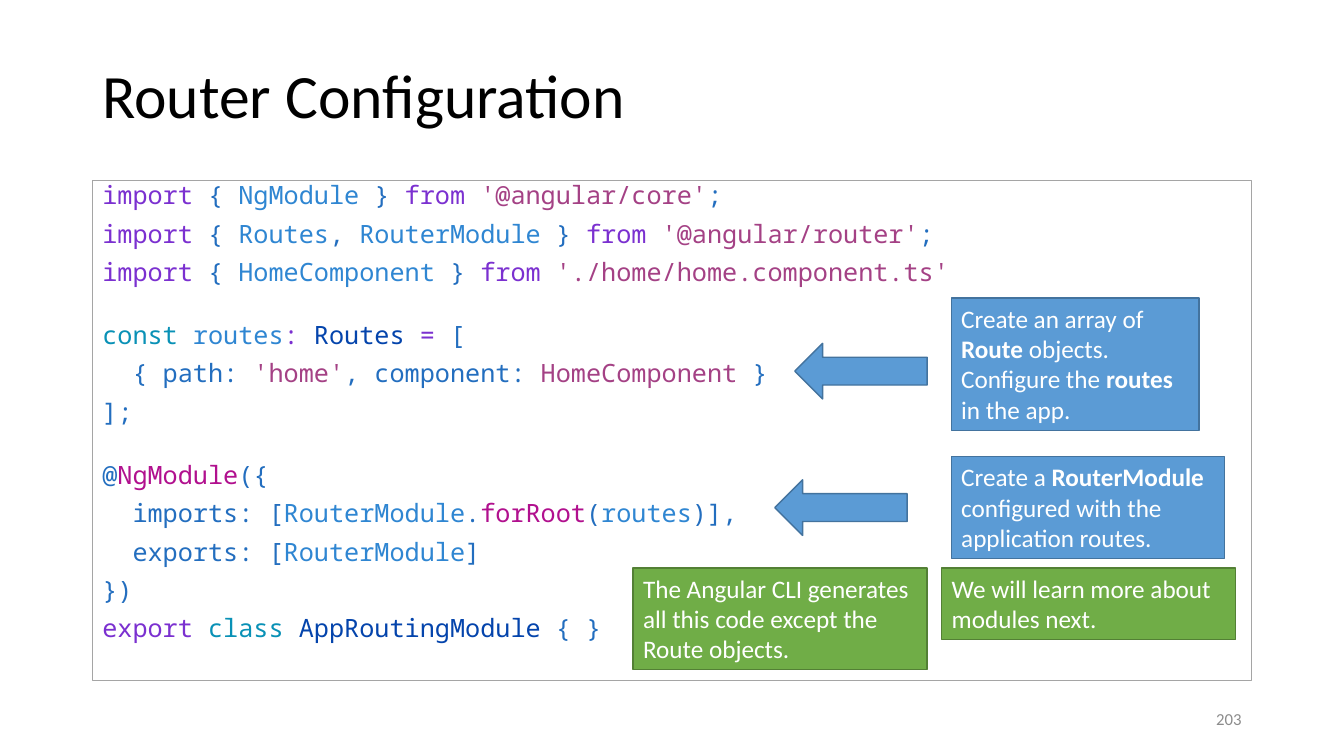
from pptx import Presentation
from pptx.dml.color import RGBColor
from pptx.enum.shapes import MSO_SHAPE
from pptx.enum.text import MSO_ANCHOR, PP_ALIGN
from pptx.util import Emu, Pt

PX = 9525  # EMU per px, 96 px to the inch
TEXT_FONT, CODE_FONT = "Calibri", "Noto Sans Mono"

WHITE = RGBColor(0xFF, 0xFF, 0xFF)
BLACK = RGBColor(0x00, 0x00, 0x00)
GRAY = RGBColor(0x8C, 0x8C, 0x8C)
FRAME = RGBColor(0xA5, 0xA5, 0xA5)
BLUE = RGBColor(0x5B, 0x9B, 0xD5)
BLUE_EDGE = RGBColor(0x43, 0x73, 0x9E)
GREEN = RGBColor(0x70, 0xAD, 0x47)
GREEN_EDGE = RGBColor(0x53, 0x80, 0x35)

# Syntax colours
KEYWORD = RGBColor(0x7B, 0x30, 0xD0)
PLAIN = RGBColor(0x23, 0x6E, 0xBF)
NAME = RGBColor(0x2F, 0x86, 0xD2)
STRING = RGBColor(0xA4, 0x41, 0x85)
STORAGE = RGBColor(0x09, 0x91, 0xB6)
TYPE = RGBColor(0x04, 0x44, 0xAC)
CALL = RGBColor(0xB1, 0x10, 0x8E)

# Blocks of code lines, each line a list of (text, colour)
CODE_BLOCKS = [
    [
        [("import", KEYWORD), (" { ", PLAIN), ("NgModule", NAME), (" } ", PLAIN),
         ("from ", KEYWORD), ("'@angular/core'", STRING), (";", PLAIN)],
        [("import", KEYWORD), (" { ", PLAIN), ("Routes", NAME), (", ", PLAIN),
         ("RouterModule", NAME), (" } ", PLAIN), ("from ", KEYWORD),
         ("'@angular/router'", STRING), (";", PLAIN)],
        [("import", KEYWORD), (" { ", PLAIN), ("HomeComponent ", NAME), ("} ", PLAIN),
         ("from ", KEYWORD), ("'./home/home.component.ts'", STRING)],
    ],
    [
        [("const ", STORAGE), ("routes", NAME), (": ", KEYWORD), ("Routes ", TYPE),
         ("=", KEYWORD), (" [", PLAIN)],
        [("  { path: ", PLAIN), ("'home'", STRING), (", component: ", PLAIN),
         ("HomeComponent ", STRING), ("}", PLAIN)],
        [("];", PLAIN)],
    ],
    [
        [("@", PLAIN), ("NgModule", CALL), ("({", PLAIN)],
        [("  imports: [", PLAIN), ("RouterModule", NAME), (".", PLAIN),
         ("forRoot", CALL), ("(", PLAIN), ("routes", NAME), (")],", PLAIN)],
        [("  exports: [", PLAIN), ("RouterModule", NAME), ("]", PLAIN)],
        [("})", PLAIN)],
        [("export ", KEYWORD), ("class ", STORAGE), ("AppRoutingModule", TYPE),
         (" { }", PLAIN)],
    ],
]

# Notes: box, fill, edge, paragraphs of (text, bold)
NOTES = [
    ((906, 284, 236, 126), BLUE, BLUE_EDGE, [
        [("Create an array of ", False), ("Route", True), (" objects.", False)],
        [("Configure the ", False), ("routes", True), (" in the app.", False)]]),
    ((906, 435, 260, 97), BLUE, BLUE_EDGE, [
        [("Create a ", False), ("RouterModule", True),
         (" configured with the application routes.", False)]]),
    ((603, 541, 280, 97), GREEN, GREEN_EDGE, [
        [("The Angular CLI generates all this code except the Route objects.", False)]]),
    ((897, 541, 280, 68), GREEN, GREEN_EDGE, [
        [("We will learn more about modules next.", False)]]),
]
ARROWS = [(757, 327, 126, 53), (738, 457, 126, 53)]


def to_emu(box):
    return [Emu(length * PX) for length in box]


def add_run(paragraph, text, size, color, font=TEXT_FONT, bold=False):
    run = paragraph.add_run()
    run.text = text
    run.font.name, run.font.size, run.font.bold = font, Pt(size), bold
    run.font.color.rgb = color


def add_paragraph(frame, index):
    return frame.add_paragraph() if index else frame.paragraphs[0]


def add_panel(slide, box, kind, fill, edge, edge_width=1):
    panel = slide.shapes.add_shape(kind, *to_emu(box))
    panel.shadow.inherit = False
    if fill is None:
        panel.fill.background()
    else:
        panel.fill.solid()
        panel.fill.fore_color.rgb = fill
    panel.line.color.rgb = edge
    panel.line.width = Pt(edge_width)
    panel.text_frame.word_wrap = True
    panel.text_frame.vertical_anchor = MSO_ANCHOR.TOP
    return panel


def add_label(slide, box, text, size, color, align=PP_ALIGN.LEFT):
    frame = slide.shapes.add_textbox(*to_emu(box)).text_frame
    frame.word_wrap = True
    frame.vertical_anchor = MSO_ANCHOR.MIDDLE
    paragraph = frame.paragraphs[0]
    paragraph.alignment = align
    paragraph.line_spacing = 0.9
    add_run(paragraph, text, size, color)


def add_code(slide, box, blocks):
    frame = add_panel(slide, box, MSO_SHAPE.RECTANGLE, None, FRAME, 0.75).text_frame
    count = 0
    for block in blocks:
        for row, line in enumerate(block):
            paragraph = add_paragraph(frame, count)
            paragraph.alignment = PP_ALIGN.LEFT
            paragraph.line_spacing = 0.8
            if count:
                # A wider gap opens each new block
                paragraph.space_before = Pt(10 if row else 28)
            for text, color in line:
                add_run(paragraph, text, 18, color, CODE_FONT)
            count += 1


def add_note(slide, box, fill, edge, paragraphs):
    frame = add_panel(slide, box, MSO_SHAPE.RECTANGLE, fill, edge).text_frame
    for index, runs in enumerate(paragraphs):
        paragraph = add_paragraph(frame, index)
        paragraph.alignment = PP_ALIGN.LEFT
        for text, bold in runs:
            add_run(paragraph, text, 18, WHITE, bold=bold)


def main():
    deck = Presentation()
    deck.slide_width, deck.slide_height = to_emu((1280, 720))
    slide = deck.slides.add_slide(deck.slide_layouts[6])

    # Title and code listing
    add_label(slide, (88, 38, 1104, 111), "Router Configuration", 44, BLACK)
    add_code(slide, (88, 172, 1104, 476), CODE_BLOCKS)

    # Notes and the arrows to the code
    for note in NOTES:
        add_note(slide, *note)
    for box in ARROWS:
        add_panel(slide, box, MSO_SHAPE.LEFT_ARROW, BLUE, BLUE_EDGE)

    # Slide number
    add_label(slide, (904, 667, 288, 38), "203", 12, GRAY, PP_ALIGN.RIGHT)
    deck.save("out.pptx")


if __name__ == "__main__":
    main()
